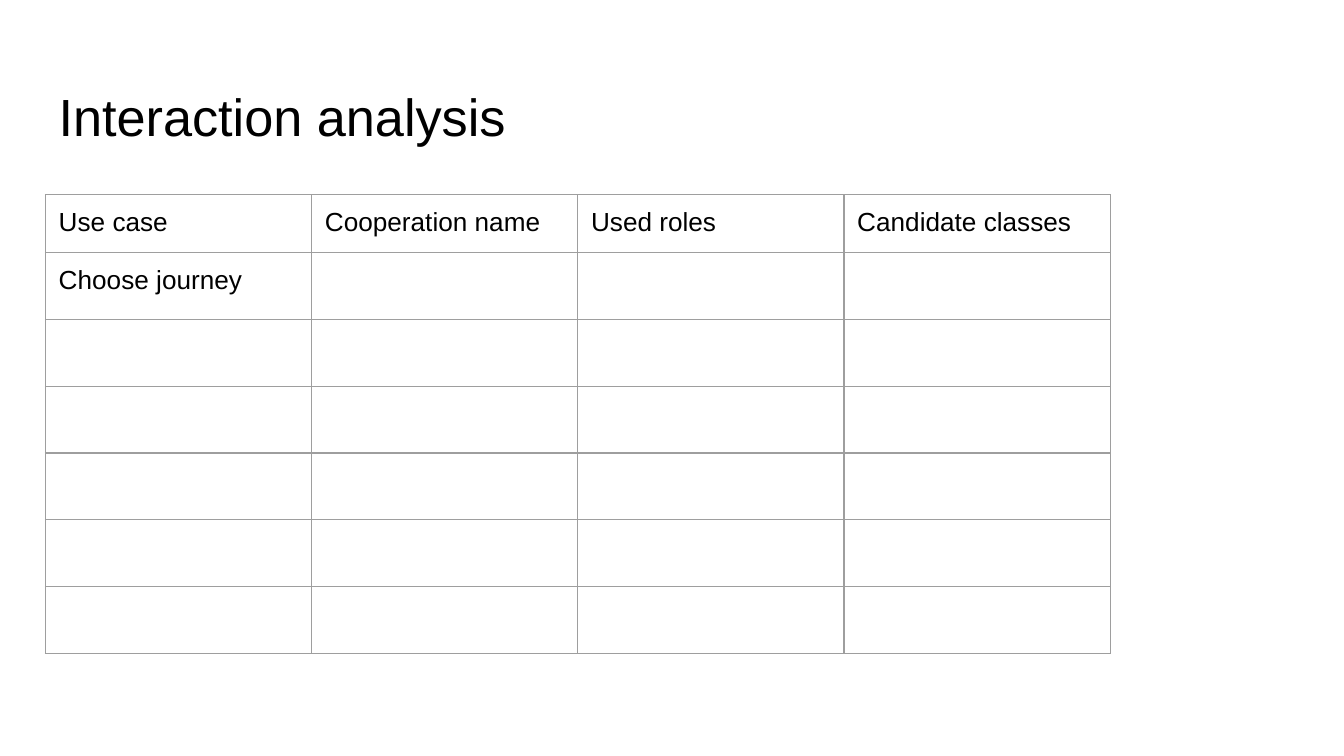
from dataclasses import dataclass

from lxml.etree import SubElement
from pptx import Presentation
from pptx.dml.color import RGBColor
from pptx.oxml.ns import qn
from pptx.util import Cm, Pt


@dataclass(frozen=True)
class Theme:
    """Colours, font and type sizes of the slide."""

    font: str = "Arial"
    ink: RGBColor = RGBColor(0, 0, 0)
    grid: str = "9E9E9E"
    grid_width: Pt = Pt(0.75)
    title_size: Pt = Pt(28)
    cell_size: Pt = Pt(14)
    empty_size: Pt = Pt(18)


THEME = Theme()
INSET = Cm(0.25)
LEFT = Cm(0.86)
COLUMN_WIDTH = Cm(5.03)
ROW_HEIGHT = Cm(1.06)
ROW_COUNT = 7
HEADINGS = ["Use case", "Cooperation name", "Used roles", "Candidate classes"]
USE_CASES = ["Choose journey"]


def style_paragraph(paragraph, size):
    """Set the font of a whole paragraph."""
    paragraph.font.name = THEME.font
    paragraph.font.size = size
    paragraph.font.color.rgb = THEME.ink


def set_insets(holder, top=INSET):
    """Give a text frame or cell its margins."""
    holder.margin_left = holder.margin_right = holder.margin_bottom = INSET
    holder.margin_top = top


def add_title(slide, wording):
    """Add the slide heading."""
    heading = slide.shapes.add_textbox(LEFT, Cm(1.24), Cm(23.67), Cm(1.6)).text_frame
    heading.word_wrap = True
    set_insets(heading, top=Cm(0.36))
    heading.text = wording
    style_paragraph(heading.paragraphs[0], THEME.title_size)


def add_borders(cell):
    """Draw the grid line on all four sides of a cell."""
    properties = cell._tc.get_or_add_tcPr()
    for position, side in enumerate(("a:lnL", "a:lnR", "a:lnT", "a:lnB")):
        line = SubElement(properties, qn(side), w=str(int(THEME.grid_width)))
        fill = SubElement(line, qn("a:solidFill"))
        SubElement(fill, qn("a:srgbClr"), val=THEME.grid)
        properties.insert(position, line)


def fill_cell(cell, wording):
    """Write and style one cell."""
    set_insets(cell)
    cell.fill.background()
    add_borders(cell)
    cell.text = wording
    size = THEME.cell_size if wording else THEME.empty_size
    style_paragraph(cell.text_frame.paragraphs[0], size)


def add_analysis_table(slide):
    """Add the table of use cases, cooperations, roles and classes."""
    analysis = slide.shapes.add_table(
        ROW_COUNT, len(HEADINGS), LEFT, Cm(3.68),
        COLUMN_WIDTH * len(HEADINGS), ROW_HEIGHT * ROW_COUNT,
    ).table
    analysis.first_row = analysis.horz_banding = False
    for column in analysis.columns:
        column.width = COLUMN_WIDTH
    wordings = {(0, place): heading for place, heading in enumerate(HEADINGS)}
    wordings.update({(place, 0): case for place, case in enumerate(USE_CASES, 1)})
    for row_place, row in enumerate(analysis.rows):
        row.height = ROW_HEIGHT
        for column_place, cell in enumerate(row.cells):
            fill_cell(cell, wordings.get((row_place, column_place), ""))


def main():
    """Build the slide and save it."""
    presentation = Presentation()
    presentation.slide_width = Cm(25.4)
    presentation.slide_height = Cm(14.29)
    slide = presentation.slides.add_slide(presentation.slide_layouts[6])
    add_title(slide, "Interaction analysis")
    add_analysis_table(slide)
    presentation.save("out.pptx")


if __name__ == "__main__":
    main()
